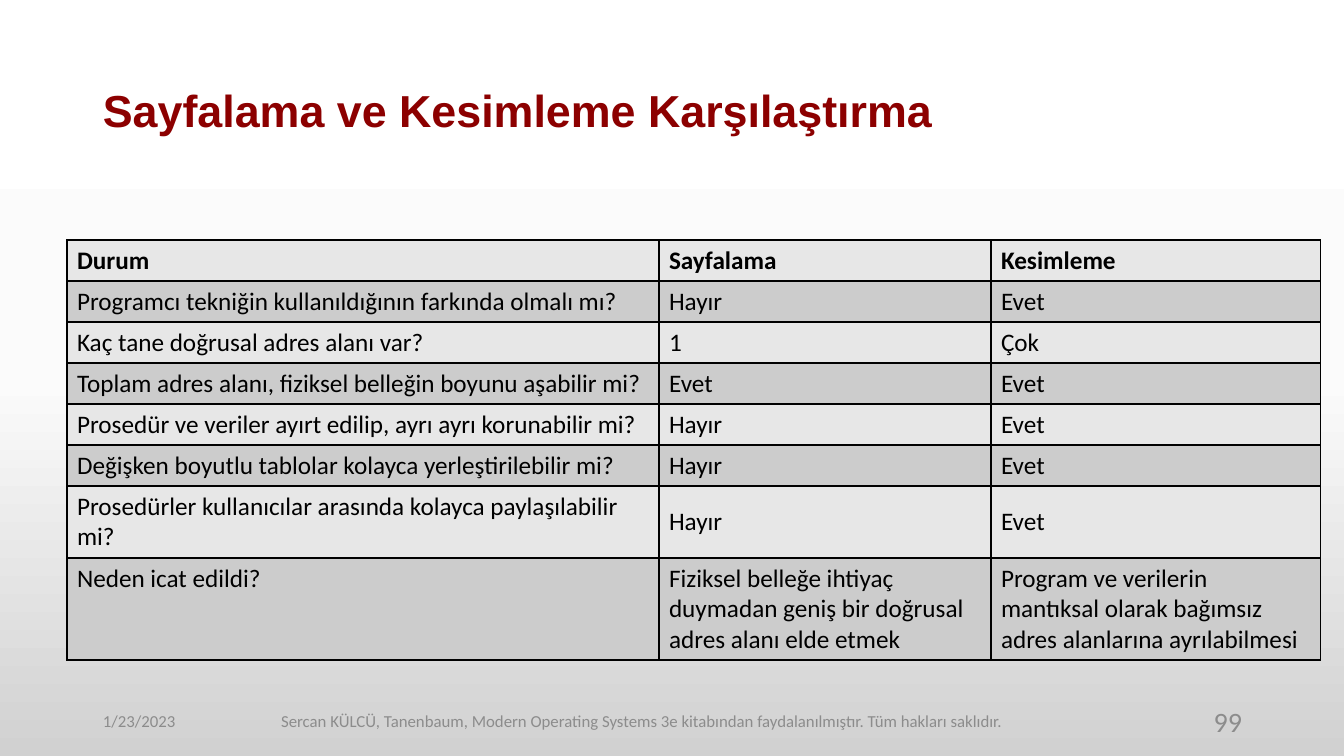
from lxml import etree
from pptx import Presentation
from pptx import util as u
from pptx.dml.color import RGBColor
from pptx.enum import text
from pptx.oxml.ns import qn

EMU_PER_PX = 914400 / 100.8
LEFT, CENTER, RIGHT = text.PP_ALIGN.LEFT, text.PP_ALIGN.CENTER, text.PP_ALIGN.RIGHT
TOP, MIDDLE = text.MSO_ANCHOR.TOP, text.MSO_ANCHOR.MIDDLE

BACKGROUND = [(0, "FFFFFF"), (50, "FBFBFB"), (100, "D1D1D1")]
BANDS = ["E7E7E7", "CCCCCC"]
COLUMNS = [592, 332, 330]
ROW_HEIGHTS = [41] * 6 + [72, 102]
ROWS = [
    ("Durum", "Sayfalama", "Kesimleme"),
    ("Programcı tekniğin kullanıldığının farkında olmalı mı?", "Hayır", "Evet"),
    ("Kaç tane doğrusal adres alanı var?", "1", "Çok"),
    ("Toplam adres alanı, fiziksel belleğin boyunu aşabilir mi?", "Evet", "Evet"),
    ("Prosedür ve veriler ayırt edilip, ayrı ayrı korunabilir mi?", "Hayır", "Evet"),
    ("Değişken boyutlu tablolar kolayca yerleştirilebilir mi?", "Hayır", "Evet"),
    ("Prosedürler kullanıcılar arasında kolayca paylaşılabilir mi?", "Hayır", "Evet"),
    ("Neden icat edildi?",
     "Fiziksel belleğe ihtiyaç duymadan geniş bir doğrusal adres alanı elde etmek",
     "Program ve verilerin mantıksal olarak bağımsız adres alanlarına ayrılabilmesi"),
]


def px(length):
    return u.Emu(round(length * EMU_PER_PX))


def color(value):
    return RGBColor.from_string(value)


def style(para, size, ink, face="Calibri", bold=False):
    font = para.font
    font.name, font.size, font.bold = face, u.Pt(size), bold
    font.color.rgb = color(ink)


def add_text(page, box, words, size, ink, align=LEFT, **look):
    frame = page.shapes.add_textbox(*map(px, box)).text_frame
    frame.word_wrap = True
    frame.vertical_anchor = MIDDLE
    para = frame.paragraphs[0]
    para.text = words
    para.alignment = align
    style(para, size, ink, **look)
    return para


def paint_background(page):
    fill = page.background.fill
    fill.gradient()
    fill.gradient_angle = 270  # top to bottom
    stops = next(page.element.iter(qn("a:gsLst")))
    for stop in list(stops):
        stops.remove(stop)
    for percent, shade in BACKGROUND:
        stop = etree.SubElement(stops, qn("a:gs"), pos=str(percent * 1000))
        etree.SubElement(stop, qn("a:srgbClr"), val=shade)


def add_borders(cell):
    properties = cell._tc.get_or_add_tcPr()
    for side in ("lnL", "lnR", "lnT", "lnB"):
        line = etree.SubElement(properties, qn(f"a:{side}"), w=str(u.Pt(1)))
        fill = etree.SubElement(line, qn("a:solidFill"))
        etree.SubElement(fill, qn("a:srgbClr"), val="000000")


def add_title(page, box):
    para = add_text(page, box, "Sayfalama ve Kesimleme Karşılaştırma", 32, "8C0000",
                    face="Arial", bold=True)
    para.line_spacing = 0.9


def add_comparison(page, left, top):
    table = page.shapes.add_table(len(ROWS), len(COLUMNS), px(left), px(top),
                                  px(sum(COLUMNS)), px(sum(ROW_HEIGHTS))).table
    for column, width in zip(table.columns, COLUMNS):
        column.width = px(width)
    last = len(ROWS) - 1
    for r, (words, height) in enumerate(zip(ROWS, ROW_HEIGHTS)):
        table.rows[r].height = px(height)
        for c, word in enumerate(words):
            cell = table.cell(r, c)
            add_borders(cell)
            cell.fill.solid()
            cell.fill.fore_color.rgb = color(BANDS[r % 2])
            # Short answers sit in the middle of their rows
            cell.vertical_anchor = MIDDLE if c and 0 < r < last else TOP
            cell.text = word
            style(cell.text_frame.paragraphs[0], 18, "000000", bold=r == 0)


def add_footer(page, box):
    left, top, width, height = box
    gray, side = "8C8C8C", 302
    add_text(page, (left, top, side, height), "1/23/2023", 12, gray)
    add_text(page, (left + 167, top, 764, height),
             "Sercan KÜLCÜ, Tanenbaum, Modern Operating Systems 3e kitabından "
             "faydalanılmıştır. Tüm hakları saklıdır.", 12, gray, CENTER)
    add_text(page, (left + width - side, top, side, height), "99", 20, gray, RIGHT)


def main():
    deck = Presentation()
    deck.slide_width, deck.slide_height = px(1344), px(756)
    page = deck.slides.add_slide(deck.slide_layouts[6])
    paint_background(page)
    add_title(page, (93, 40, 1159, 146))
    add_comparison(page, 67, 240)
    add_footer(page, (93, 701, 1159, 40))
    deck.save("out.pptx")


if __name__ == "__main__":
    main()
